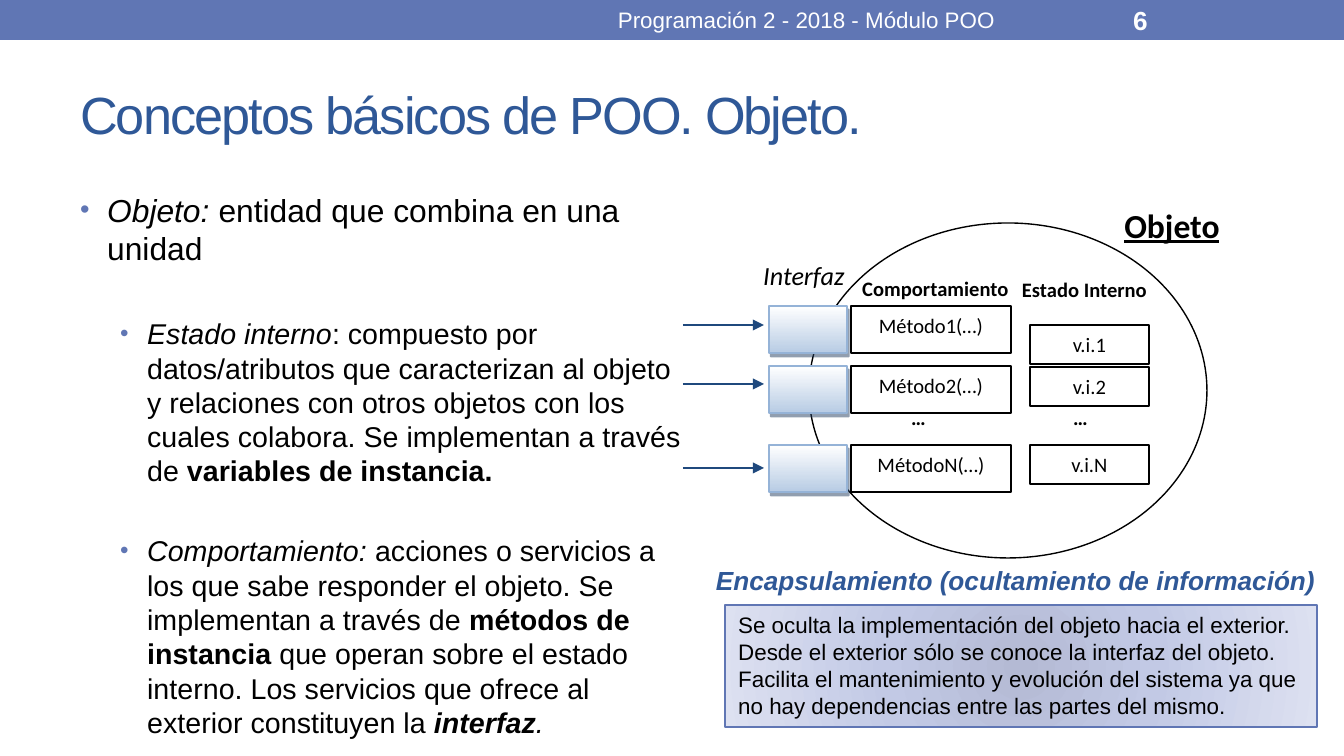
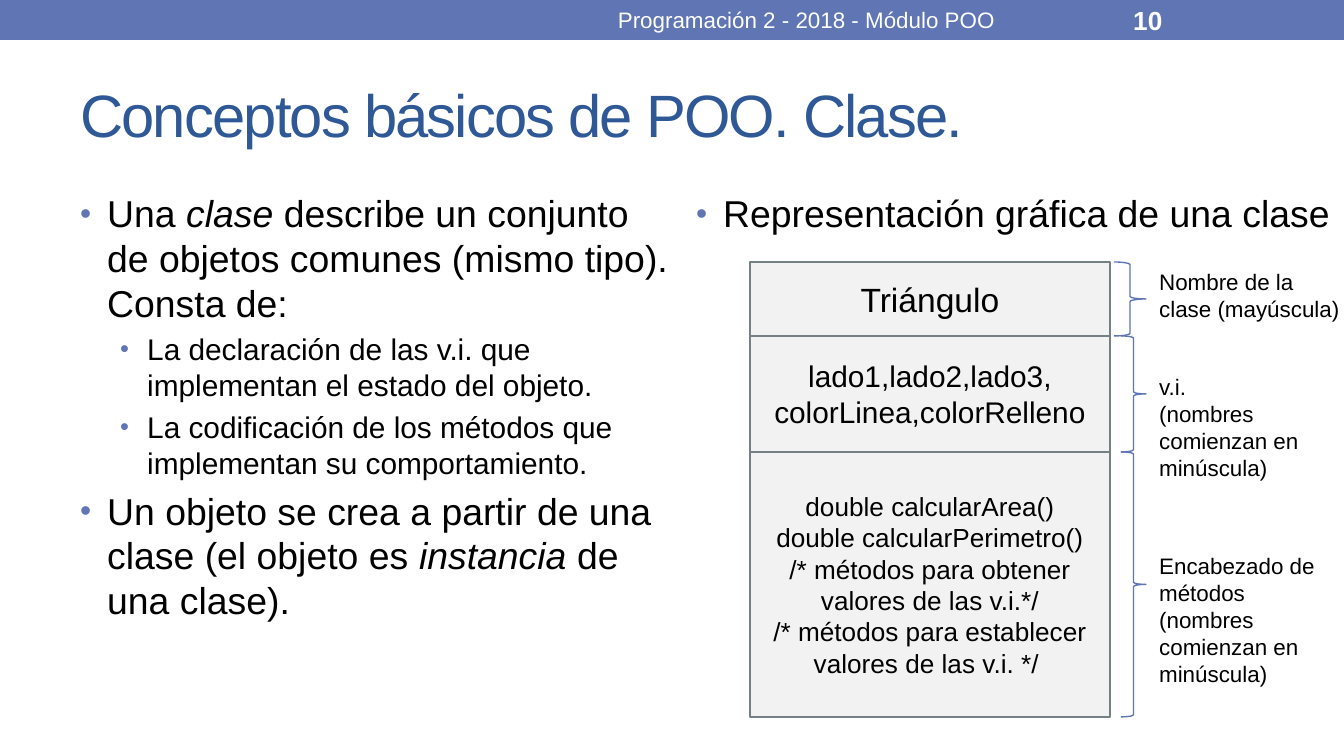
import pptx
import pptx.util
import pptx.dml.color
import pptx.enum.shapes
import pptx.enum.text
import pptx.oxml
import pptx.oxml.ns

SCALE = 914400 / 134.4
BLUE = "6076B4"
TITLE_BLUE = "2F5897"
BLACK = "000000"
WHITE = "FFFFFF"
ARROW_BLUE = "1F497D"
CARD_FILL = "F2F2F2"
CARD_LINE = "758085"

SHAPES = pptx.enum.shapes.MSO_SHAPE
ALIGN = pptx.enum.text.PP_ALIGN
ANCHOR = pptx.enum.text.MSO_ANCHOR
NAMESPACE = 'xmlns:a="http://schemas.openxmlformats.org/drawingml/2006/main"'


def px(length):
    return pptx.util.Emu(round(length * SCALE))


def rgb(code):
    return pptx.dml.color.RGBColor.from_string(code)


def element(tag, attributes="", inner=""):
    return pptx.oxml.parse_xml(f"<a:{tag} {NAMESPACE} {attributes}>{inner}</a:{tag}>")


def write(frame, text, size=12, font="Arial", color=BLACK, bold=False, italic=False,
          underline=False, align=ALIGN.LEFT, tracking=0, before=0):
    first = frame.paragraphs[0]
    paragraph = frame.add_paragraph() if first.runs else first
    paragraph.alignment = align
    if before:
        paragraph.space_before = pptx.util.Pt(before)
    pieces = [(text, "")] if isinstance(text, str) else text
    for words, style in pieces:
        run = paragraph.add_run()
        run.text = words
        run.font.size = pptx.util.Pt(size)
        run.font.name = font
        run.font.color.rgb = rgb(color)
        run.font.bold = bold or "b" in style
        run.font.italic = italic or "i" in style
        run.font.underline = underline
        if tracking:
            run.font._element.set("spc", str(tracking * 100))
    return paragraph


def text_area(slide, box, anchor=ANCHOR.TOP):
    frame = slide.shapes.add_textbox(*map(px, box)).text_frame
    frame.word_wrap = True
    frame.vertical_anchor = anchor
    return frame


def panel(slide, box, kind=SHAPES.RECTANGLE, fill=None, line=None, weight=0.75,
          anchor=ANCHOR.TOP):
    shape = slide.shapes.add_shape(kind, *map(px, box))
    shape.shadow.inherit = False
    if fill:
        shape.fill.solid()
        shape.fill.fore_color.rgb = rgb(fill)
    else:
        shape.fill.background()
    if line:
        shape.line.color.rgb = rgb(line)
        shape.line.width = pptx.util.Pt(weight)
    else:
        shape.line.fill.background()
    shape.text_frame.word_wrap = True
    shape.text_frame.vertical_anchor = anchor
    return shape


def set_gradient(shape, stops, direction):
    stop_list = "".join(
        f'<a:gs pos="{place * 1000}"><a:srgbClr val="{color}"/></a:gs>'
        for place, color in stops)
    gradient = element("gradFill", 'rotWithShape="1"',
                       f"<a:gsLst>{stop_list}</a:gsLst>{direction}")
    properties = shape._element.spPr
    empty_fill = properties.find(pptx.oxml.ns.qn("a:noFill"))
    properties.replace(empty_fill, gradient)


def bullet_list(slide, box, items):
    frame = text_area(slide, box)
    for level, size, before, text in items:
        paragraph = write(frame, text, size=size, before=before)
        properties = paragraph._p.get_or_add_pPr()
        properties.set("marL", str(px((27, 67)[level])))
        properties.set("indent", str(px(-27)))
        properties.set("lvl", str(level))
        properties.append(element("buClr", inner=f'<a:srgbClr val="{BLUE}"/>'))
        properties.append(element("buSzPct", 'val="85000"'))
        properties.append(element("buFont", 'typeface="Arial"'))
        properties.append(element("buChar", 'char="•"'))


def base_slide(deck, title, title_size, number):
    slide = deck.slides.add_slide(deck.slide_layouts[6])
    panel(slide, (0, 0, 1344, 40), fill=BLUE)
    write(text_area(slide, (67, 59, 1210, 109), ANCHOR.MIDDLE), title,
          size=title_size, color=TITLE_BLUE, tracking=-1)
    write(text_area(slide, (1120, 2, 157, 36), ANCHOR.MIDDLE), number,
          size=14, color=WHITE, bold=True)
    write(text_area(slide, (504, 2, 605, 36), ANCHOR.MIDDLE),
          "Programación 2 - 2018 - Módulo POO", color=WHITE, align=ALIGN.CENTER)
    return slide


def arrow(slide, left, top, length):
    connector = slide.shapes.add_connector(
        pptx.enum.shapes.MSO_CONNECTOR.STRAIGHT,
        px(left), px(top), px(left + length), px(top))
    connector.line.color.rgb = rgb(ARROW_BLUE)
    connector.line.width = pptx.util.Pt(1)
    connector.line._get_or_add_ln().append(element("tailEnd", 'type="triangle"'))
    connector._element.spPr.append(element("effectLst"))


def interface_port(slide, box):
    port = panel(slide, box, line="95B3D7", weight=1)
    set_gradient(port, [(0, WHITE), (100, "B8CCE4")], '<a:lin ang="5400000" scaled="0"/>')
    effects = port._element.spPr.find(pptx.oxml.ns.qn("a:effectLst"))
    effects.append(element(
        "outerShdw", 'blurRad="0" dist="27940" dir="3780000" algn="ctr" rotWithShape="0"',
        '<a:srgbClr val="243F60"><a:alpha val="50000"/></a:srgbClr>'))


def object_diagram(slide, left, top):
    def label(box, text, **style):
        x, y, width, height = box
        write(text_area(slide, (left + x, top + y, width, height)), text,
              **{"size": 11, "font": "Calibri", **style})

    def member(box, text):
        x, y, width, height = box
        cell = panel(slide, (left + x, top + y, width, height), fill=WHITE, line=BLACK)
        write(cell.text_frame, text, size=11, font="Calibri", align=ALIGN.CENTER)

    panel(slide, (left + 126, top + 25, 398, 335), SHAPES.OVAL, WHITE, BLACK)
    rows = [("1", 108, 127, 127), ("2", 168, 186, 169), ("N", 247, 270, 247)]
    for suffix, method_top, arrow_top, variable_top in rows:
        member((168, method_top, 160, 47), f"Método{suffix}(…)")
        member((347, variable_top, 119, 39), f"v.i.{suffix}")
        interface_port(slide, (left + 86, top + method_top, 78, 47))
        arrow(slide, left, top + arrow_top, 81)
    label((166, 71, 192, 60), "Comportamiento", bold=True)
    label((312, 72, 179, 40), "Estado Interno", bold=True, align=ALIGN.CENTER)
    for dots_left in (215, 377):
        label((dots_left, 200, 171, 58), "…", bold=True)
    label((428, 0, 132, 55), "Objeto", size=18, bold=True, underline=True)
    label((67, 55, 117, 52), "Interfaz", size=14, italic=True)


def encapsulation_note(slide, left, top):
    write(text_area(slide, (left, top, 688, 46)),
          "Encapsulamiento (ocultamiento de información)",
          size=14, color=TITLE_BLUE, bold=True, italic=True, align=ALIGN.CENTER)
    note = panel(slide, (left + 53, top + 47, 592, 122), line=BLUE)
    set_gradient(note, [(0, "B4BAD4"), (45, "C2C9E5"), (100, "DDE1F1")],
                 '<a:path path="circle"><a:fillToRect l="100000" t="100000" '
                 'r="100000" b="100000"/></a:path>')
    write(note.text_frame,
          "Se oculta la implementación del objeto hacia el exterior. Desde el exterior "
          "sólo se conoce la interfaz del objeto. Facilita el mantenimiento y evolución "
          "del sistema ya que no hay dependencias entre las partes del mismo.")


def class_diagram(slide, left, top):
    naming_rule = "(nombres comienzan en minúscula)"
    sections = [
        (74, 18, ["Triángulo"], (364, 32), (0, 214, 67),
         ["Nombre de la clase (mayúscula)"]),
        (116, 16, ["lado1,lado2,lado3,", "colorLinea,colorRelleno"], (371, 25),
         (31, 183, 122), ["v.i.", naming_rule]),
        (265, 14, ["double calcularArea() double calcularPerimetro()",
                   "/* métodos para obtener valores de las v.i.*/",
                   "/* métodos para establecer valores de las v.i. */ "], (371, 25),
         (94, 183, 149), ["Encabezado de métodos", naming_rule]),
    ]
    for height, size, members, brace, note, notes in sections:
        card = panel(slide, (left, top, 360, height), fill=CARD_FILL, line=CARD_LINE,
                     anchor=ANCHOR.MIDDLE)
        for line in members:
            write(card.text_frame, line, size=size, align=ALIGN.CENTER)
        brace_left, brace_width = brace
        panel(slide, (left + brace_left, top, brace_width, height),
              SHAPES.RIGHT_BRACE, line=BLUE)
        note_drop, note_width, note_height = note
        frame = text_area(slide, (left + 396, top + note_drop, note_width, note_height))
        for line in notes:
            write(frame, line)
        top += height


def object_slide(deck):
    slide = base_slide(deck, "Conceptos básicos de POO. Objeto.", 28, "6")
    bullet_list(slide, (67, 184, 632, 554), [
        (0, 17, 3.4, [("Objeto: ", "i"), ("entidad que combina en una unidad", "")]),
        (1, 15.3, 26.5, [
            ("Estado interno", "i"),
            (": compuesto por datos/atributos que caracterizan al objeto y relaciones con "
             "otros objetos con los cuales colabora. Se implementan a través de ", ""),
            ("variables de instancia.", "b")]),
        (1, 15.3, 24.5, [
            ("Comportamiento: ", "i"),
            ("acciones o servicios a los que sabe responder el objeto. Se implementan a "
             "través de ", ""),
            ("métodos de instancia", "b"),
            (" que operan sobre el estado interno. Los servicios que ofrece al exterior "
             "constituyen la ", ""),
            ("interfaz", "bi"), (".", "i")]),
    ])
    object_diagram(slide, 683, 198)
    encapsulation_note(slide, 672, 558)


def class_slide(deck):
    slide = base_slide(deck, "Conceptos básicos de POO. Clase.", 32, "10")
    bullet_list(slide, (67, 184, 626, 520), [
        (0, 20, 4, [("Una ", ""), ("clase", "i"),
                    (" describe un conjunto de objetos comunes (mismo tipo). "
                     "Consta de:", "")]),
        (1, 16, 3.2, "La declaración de las v.i. que implementan el estado del objeto."),
        (1, 16, 3.2, "La codificación de los métodos que implementan su comportamiento."),
        (0, 20, 4, [("Un objeto se crea a partir de una clase (el objeto es", ""),
                    (" instancia ", "i"), ("de una clase).", "")]),
    ])
    bullet_list(slide, (683, 184, 676, 520),
                [(0, 20, 4, "Representación gráfica de una clase")])
    class_diagram(slide, 750, 262)


deck = pptx.Presentation()
deck.slide_width = px(1344)
deck.slide_height = px(756)
object_slide(deck)
class_slide(deck)
deck.save("out.pptx")
